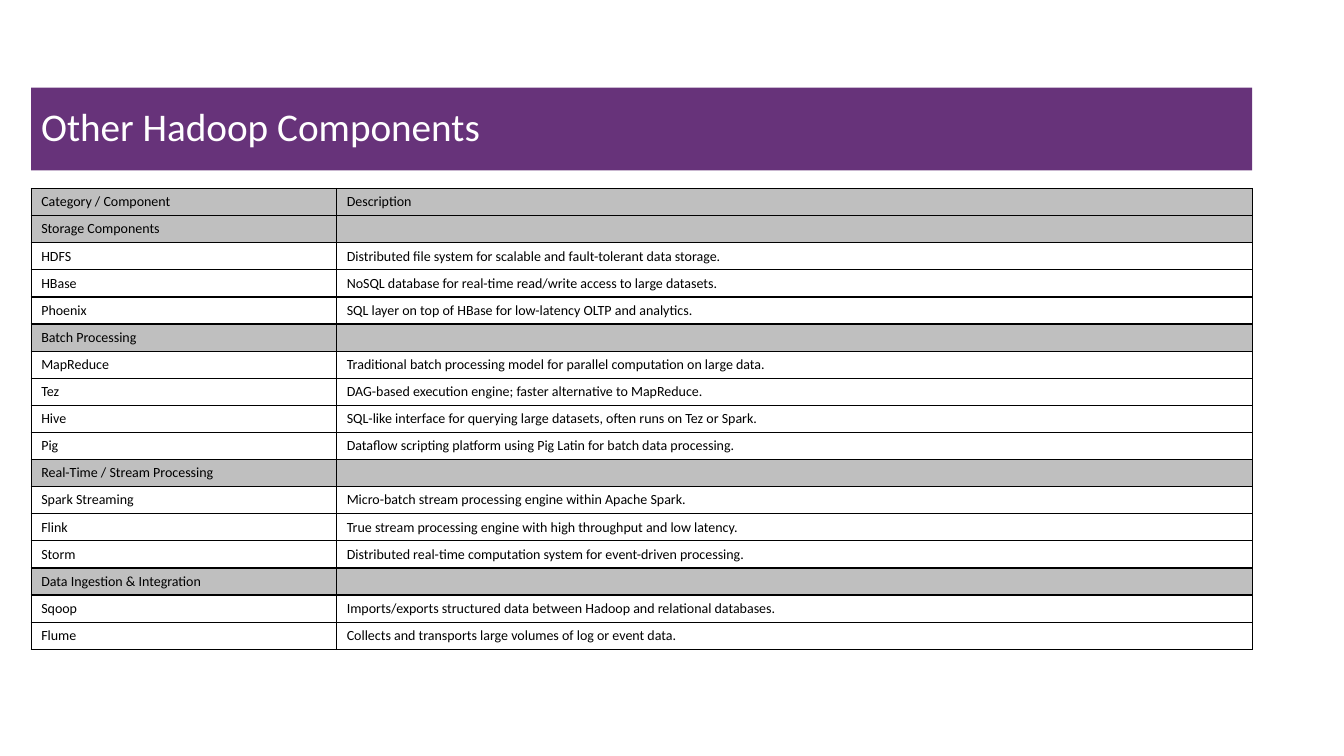
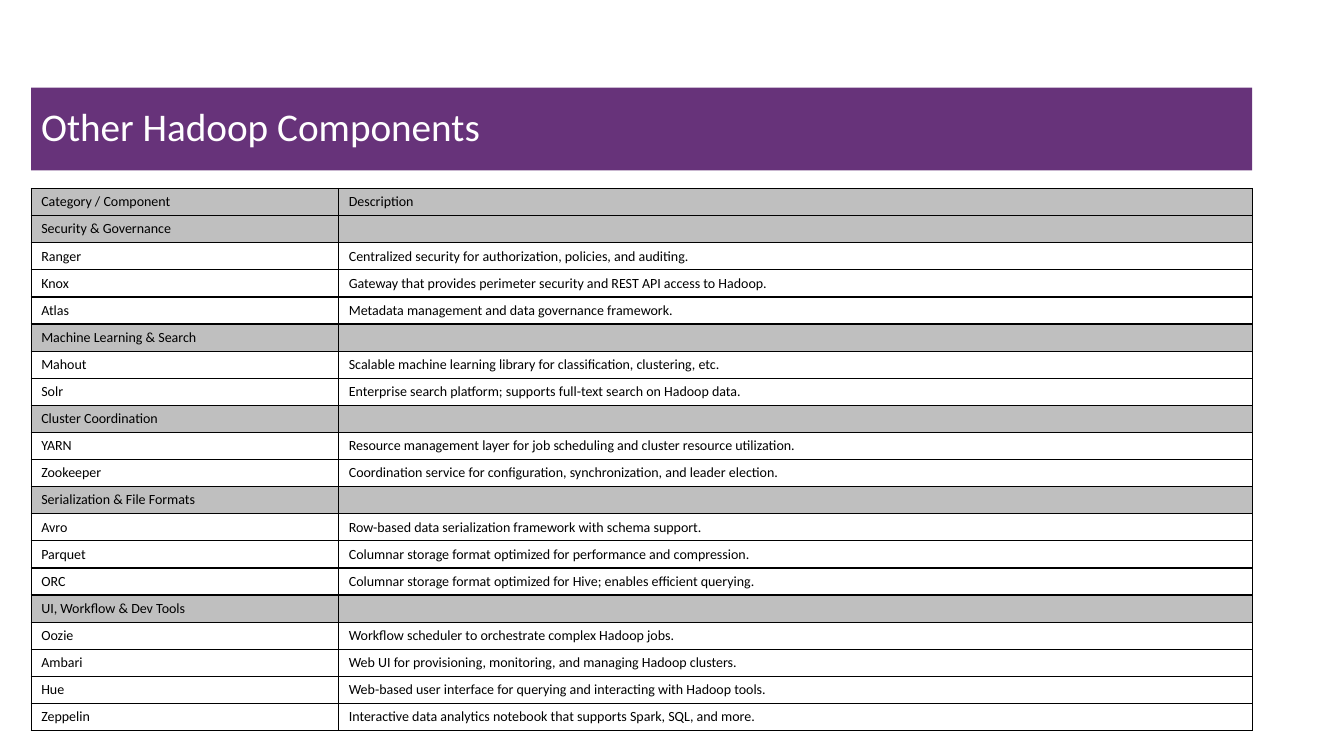
"""Build two slides of tables that list Hadoop components by category."""

from dataclasses import dataclass

import pptx
import pptx.dml.color
import pptx.enum.shapes
import pptx.enum.text
import pptx.oxml.ns
import pptx.presentation
import pptx.slide
import pptx.table
import pptx.util
from lxml import etree
from pptx.util import Inches


@dataclass(frozen=True)
class Theme:
    font: str = "Calibri"
    band: str = "67337A"
    band_text: str = "FFFFFF"
    heading_fill: str = "BFBFBF"
    ink: str = "000000"
    title_size: int = 28
    body_size: int = 10
    border_width: int = 1


@dataclass(frozen=True)
class Component:
    name: str
    description: str


@dataclass(frozen=True)
class Category:
    name: str
    components: tuple[Component, ...]


@dataclass(frozen=True)
class ComponentPage:
    name_width: float
    categories: tuple[Category, ...]


@dataclass(frozen=True)
class Row:
    name: str
    description: str = ""
    is_heading: bool = False


THEME = Theme()
TITLE = "Other Hadoop Components"
LEFT = 0.31
WIDTH = 12.11
BAND_TOP = 0.87
BAND_HEIGHT = 0.82
TABLE_TOP = 1.87
ROW_HEIGHT = 0.26

PAGES = (
    ComponentPage(3.03, (
        Category("Storage Components", (
            Component("HDFS", "Distributed file system for scalable and fault-tolerant data storage."),
            Component("HBase", "NoSQL database for real-time read/write access to large datasets."),
            Component("Phoenix", "SQL layer on top of HBase for low-latency OLTP and analytics."),
        )),
        Category("Batch Processing", (
            Component("MapReduce", "Traditional batch processing model for parallel computation on large data."),
            Component("Tez", "DAG-based execution engine; faster alternative to MapReduce."),
            Component("Hive", "SQL-like interface for querying large datasets, often runs on Tez or Spark."),
            Component("Pig", "Dataflow scripting platform using Pig Latin for batch data processing."),
        )),
        Category("Real-Time / Stream Processing", (
            Component("Spark Streaming", "Micro-batch stream processing engine within Apache Spark."),
            Component("Flink", "True stream processing engine with high throughput and low latency."),
            Component("Storm", "Distributed real-time computation system for event-driven processing."),
        )),
        Category("Data Ingestion & Integration", (
            Component("Sqoop", "Imports/exports structured data between Hadoop and relational databases."),
            Component("Flume", "Collects and transports large volumes of log or event data."),
        )),
    )),
    ComponentPage(3.05, (
        Category("Security & Governance", (
            Component("Ranger", "Centralized security for authorization, policies, and auditing."),
            Component("Knox", "Gateway that provides perimeter security and REST API access to Hadoop."),
            Component("Atlas", "Metadata management and data governance framework."),
        )),
        Category("Machine Learning & Search", (
            Component("Mahout", "Scalable machine learning library for classification, clustering, etc."),
            Component("Solr", "Enterprise search platform; supports full-text search on Hadoop data."),
        )),
        Category("Cluster Coordination", (
            Component("YARN", "Resource management layer for job scheduling and cluster resource utilization."),
            Component("Zookeeper", "Coordination service for configuration, synchronization, and leader election."),
        )),
        Category("Serialization & File Formats", (
            Component("Avro", "Row-based data serialization framework with schema support."),
            Component("Parquet", "Columnar storage format optimized for performance and compression."),
            Component("ORC", "Columnar storage format optimized for Hive; enables efficient querying."),
        )),
        Category("UI, Workflow & Dev Tools", (
            Component("Oozie", "Workflow scheduler to orchestrate complex Hadoop jobs."),
            Component("Ambari", "Web UI for provisioning, monitoring, and managing Hadoop clusters."),
            Component("Hue", "Web-based user interface for querying and interacting with Hadoop tools."),
            Component("Zeppelin", "Interactive data analytics notebook that supports Spark, SQL, and more."),
        )),
    )),
)


def rgb(value: str) -> pptx.dml.color.RGBColor:
    return pptx.dml.color.RGBColor.from_string(value)


def style_runs(text_frame: pptx.text.text.TextFrame, size: int, color: str) -> None:
    for paragraph in text_frame.paragraphs:
        for run in paragraph.runs:
            run.font.name = THEME.font
            run.font.size = pptx.util.Pt(size)
            run.font.color.rgb = rgb(color)


def add_title_band(slide: pptx.slide.Slide) -> None:
    band = slide.shapes.add_shape(
        pptx.enum.shapes.MSO_SHAPE.RECTANGLE,
        Inches(LEFT), Inches(BAND_TOP), Inches(WIDTH), Inches(BAND_HEIGHT),
    )
    band.shadow.inherit = False
    band.fill.solid()
    band.fill.fore_color.rgb = rgb(THEME.band)
    band.line.fill.background()
    heading = band.text_frame
    heading.word_wrap = True
    heading.vertical_anchor = pptx.enum.text.MSO_ANCHOR.MIDDLE
    heading.text = TITLE
    heading.paragraphs[0].alignment = pptx.enum.text.PP_ALIGN.LEFT
    heading.paragraphs[0].line_spacing = 0.9
    style_runs(heading, THEME.title_size, THEME.band_text)


def add_borders(cell: pptx.table._Cell) -> None:
    qn = pptx.oxml.ns.qn
    properties = cell._tc.get_or_add_tcPr()
    for side in ("a:lnL", "a:lnR", "a:lnT", "a:lnB"):
        border = etree.SubElement(properties, qn(side), w=str(pptx.util.Pt(THEME.border_width)))
        fill = etree.SubElement(border, qn("a:solidFill"))
        etree.SubElement(fill, qn("a:srgbClr"), val=THEME.ink)


def fill_cell(cell: pptx.table._Cell, text: str, is_heading: bool) -> None:
    add_borders(cell)
    if is_heading:
        cell.fill.solid()
        cell.fill.fore_color.rgb = rgb(THEME.heading_fill)
    else:
        cell.fill.background()
    cell.vertical_anchor = pptx.enum.text.MSO_ANCHOR.MIDDLE
    if text:
        cell.text_frame.text = text
        style_runs(cell.text_frame, THEME.body_size, THEME.ink)
    else:
        etree.SubElement(
            cell.text_frame.paragraphs[0]._p,
            pptx.oxml.ns.qn("a:endParaRPr"),
            sz=str(THEME.body_size * 100),
        )


def page_rows(page: ComponentPage) -> list[Row]:
    rows = [Row("Category / Component", "Description", True)]
    for category in page.categories:
        rows.append(Row(category.name, is_heading=True))
        rows.extend(Row(part.name, part.description) for part in category.components)
    return rows


def add_component_table(slide: pptx.slide.Slide, page: ComponentPage) -> None:
    rows = page_rows(page)
    components = slide.shapes.add_table(
        len(rows), 2,
        Inches(LEFT), Inches(TABLE_TOP), Inches(WIDTH), Inches(ROW_HEIGHT * len(rows)),
    ).table
    components.first_row = False
    components.horz_banding = False
    components.columns[0].width = Inches(page.name_width)
    components.columns[1].width = Inches(WIDTH - page.name_width)
    for index, row in enumerate(rows):
        components.rows[index].height = Inches(ROW_HEIGHT)
        for column, text in enumerate((row.name, row.description)):
            fill_cell(components.cell(index, column), text, row.is_heading)


def add_page(deck: pptx.presentation.Presentation, page: ComponentPage) -> None:
    slide = deck.slides.add_slide(deck.slide_layouts[6])
    add_title_band(slide)
    add_component_table(slide, page)


def main() -> None:
    deck = pptx.Presentation()
    deck.slide_width = Inches(13.33)
    deck.slide_height = Inches(7.5)
    for page in PAGES:
        add_page(deck, page)
    deck.save("out.pptx")


if __name__ == "__main__":
    main()
